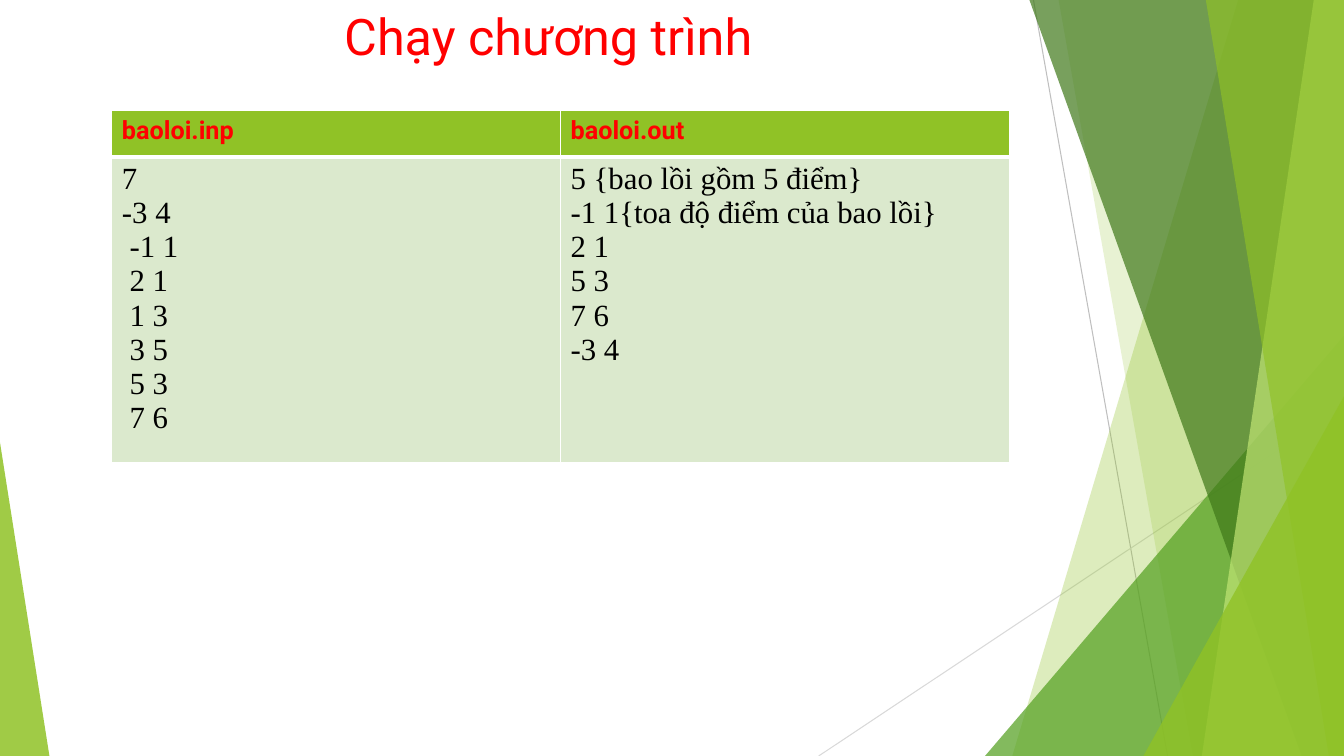
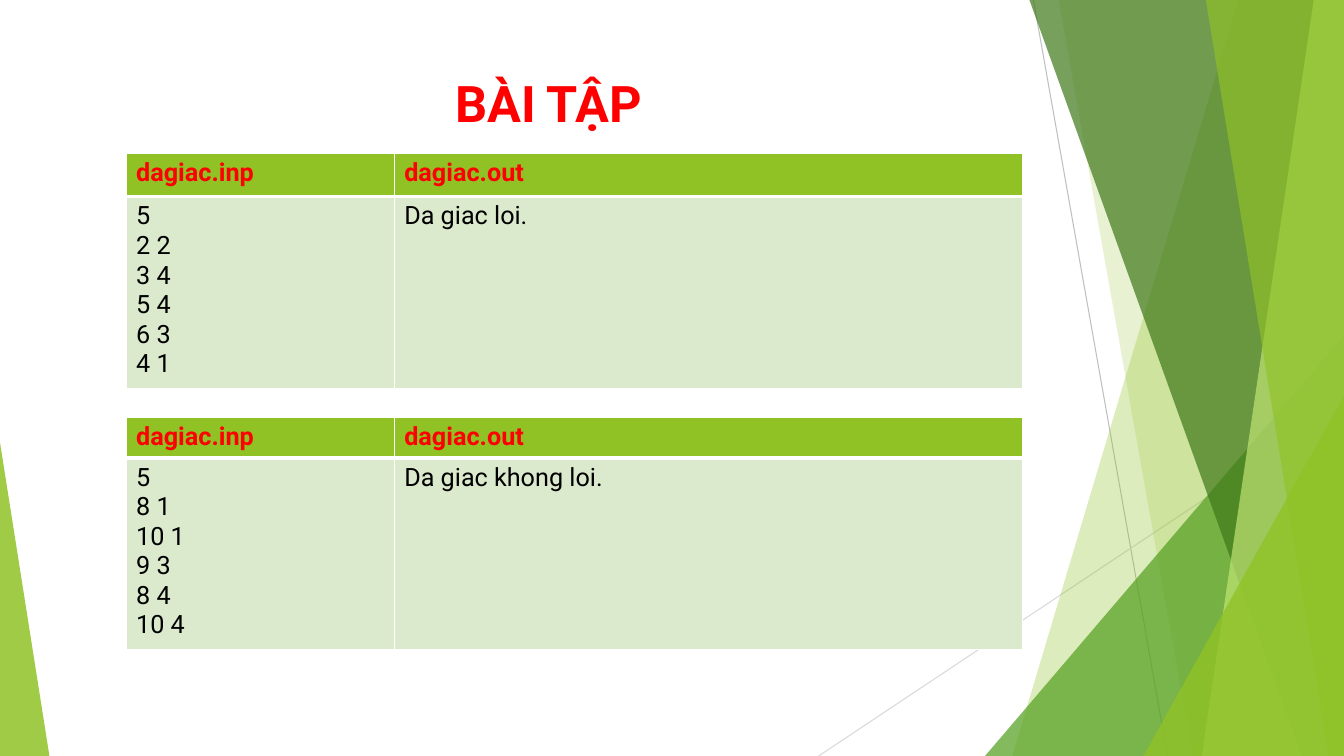
from pptx import Presentation
from pptx.dml.color import RGBColor
from pptx.enum.shapes import MSO_CONNECTOR, MSO_SHAPE
from pptx.enum.text import MSO_ANCHOR, PP_ALIGN
from pptx.oxml import parse_xml
from pptx.oxml.ns import nsdecls
from pptx.util import Inches, Pt

LIME = RGBColor(0x90, 0xC2, 0x26)
PALE_LIME = RGBColor(0xC0, 0xE4, 0x74)
GREEN = RGBColor(0x54, 0xA0, 0x21)
FOREST = RGBColor(0x3F, 0x78, 0x19)
MINT = RGBColor(0xDB, 0xE9, 0xCD)
GRAY = RGBColor(0xBF, 0xBF, 0xBF)
LIGHT_GRAY = RGBColor(0xD9, 0xD9, 0xD9)
RED = RGBColor(0xFF, 0, 0)
BLACK = RGBColor(0, 0, 0)
SANS, SERIF = "Roboto", "Times New Roman"
WIDTH, HEIGHT = 13.33, 7.5

RAYS = [(10.25, 0, 11.58, HEIGHT, GRAY), (WIDTH, 4.03, 8.12, HEIGHT, LIGHT_GRAY)]
FACETS = [
    ("beam", 12.28, 10.04, LIME, 30),
    ("beam", 10.5, 11.83, LIME, 20),
    ("right corner", 3.56, 4.17, GREEN, 72),
    ("beam", 10.21, 12.91, FOREST, 70),
    ("beam", 13.03, 11.92, PALE_LIME, 70),
    ("beam", 11.96, 13.18, LIME, 65),
    ("right corner", 1.99, 3.57, LIME, 80),
    ("left corner", 0.49, 3.11, LIME, 85),
]

deck = Presentation()
deck.slide_width, deck.slide_height = Inches(WIDTH), Inches(HEIGHT)


def start_slide(heading, top, bold):
    slide = deck.slides.add_slide(deck.slide_layouts[6])
    for x1, y1, x2, y2, color in RAYS:
        ray = slide.shapes.add_connector(
            MSO_CONNECTOR.STRAIGHT, Inches(x1), Inches(y1), Inches(x2), Inches(y2))
        ray.line.color.rgb = color
        ray.line.width = Pt(0.75)
        ray.element.spPr.append(parse_xml(f"<a:effectLst {nsdecls('a')}/>"))
    for kind, first, second, color, opacity in FACETS:
        if kind == "beam":
            outline = slide.shapes.build_freeform(Inches(first), 0)
            outline.add_line_segments([
                (Inches(WIDTH), 0), (Inches(WIDTH), Inches(HEIGHT)),
                (Inches(second), Inches(HEIGHT))])
            facet = outline.convert_to_shape()
        else:
            on_right = kind == "right corner"
            facet = slide.shapes.add_shape(
                MSO_SHAPE.ISOSCELES_TRIANGLE, Inches(WIDTH - first if on_right else 0),
                Inches(HEIGHT - second), Inches(first), Inches(second))
            facet.adjustments[0] = 1 if on_right else 0
        facet.shadow.inherit = False
        facet.line.fill.background()
        facet.fill.solid()
        facet.fill.fore_color.rgb = color
        tint = facet.element.xpath("./p:spPr/a:solidFill/a:srgbClr")[0]
        tint.append(parse_xml(f'<a:alpha {nsdecls("a")} val="{opacity * 1000}"/>'))

    title = slide.shapes.add_textbox(
        Inches(0.74), Inches(top), Inches(9.4), Inches(1.44)).text_frame
    title.word_wrap = True
    title.vertical_anchor = MSO_ANCHOR.TOP
    title.text = heading
    line = title.paragraphs[0]
    line.alignment = PP_ALIGN.CENTER
    line.font.name, line.font.size, line.font.bold = SANS, Pt(36), bold
    line.font.color.rgb = RED
    return slide


def add_example(slide, left, top, widths, heights, rows, body_font, body_size):
    grid = slide.shapes.add_table(
        2, 2, Inches(left), Inches(top), Inches(sum(widths)), Inches(sum(heights))).table
    for column, width in zip(grid.columns, widths):
        column.width = Inches(width)
    for r, (row, height) in enumerate(zip(rows, heights)):
        grid.rows[r].height = Inches(height)
        is_header = r == 0
        for c, lines in enumerate(row):
            cell = grid.cell(r, c)
            cell.fill.solid()
            cell.fill.fore_color.rgb = LIME if is_header else MINT
            divider = "lnB" if is_header else "lnT"
            for i, side in enumerate(("lnL", "lnR", "lnT", "lnB")):
                weight = Pt(3 if side == divider else 1)
                cell._tc.get_or_add_tcPr().insert(i, parse_xml(
                    f'<a:{side} {nsdecls("a")} w="{weight}"><a:solidFill>'
                    f'<a:srgbClr val="FFFFFF"/></a:solidFill></a:{side}>'))
            cell.text = "\n".join(lines)
            for line in cell.text_frame.paragraphs:
                line.font.name = SANS if is_header else body_font
                line.font.size = Pt(18 if is_header else body_size)
                line.font.bold = is_header
                line.font.color.rgb = RED if is_header else BLACK


hull = start_slide("Chạy chương trình", 0, False)
hull_rows = [
    (["baoloi.inp"], ["baoloi.out"]),
    (["7", "-3 4", " -1 1", " 2 1", " 1 3", " 3 5", " 5 3", " 7 6"],
     ["5 {bao lồi gồm 5 điểm}", "-1 1{toa độ điểm của bao lồi}",
      "2 1", "5 3", "7 6", "-3 4"]),
]
add_example(hull, 1.11, 1.1, (4.45, 4.45), (0.46, 2.8), hull_rows, SERIF, 22)

exercise = start_slide("BÀI TẬP", 0.67, True)
polygons = [
    (1.52, 0.43, ["5", "2 2", "3 4", "5 4", "6 3", "4 1"], "Da giac loi."),
    (4.14, 0.4, ["5", "8 1", "10 1", "9 3", "8 4", "10 4"], "Da giac khong loi."),
]
for top, header_height, points, verdict in polygons:
    polygon_rows = [(["dagiac.inp"], ["dagiac.out"]), (points, [verdict])]
    add_example(exercise, 1.25, top, (2.66, 6.23), (header_height, 1.85),
                polygon_rows, SANS, 18)

deck.save("out.pptx")
